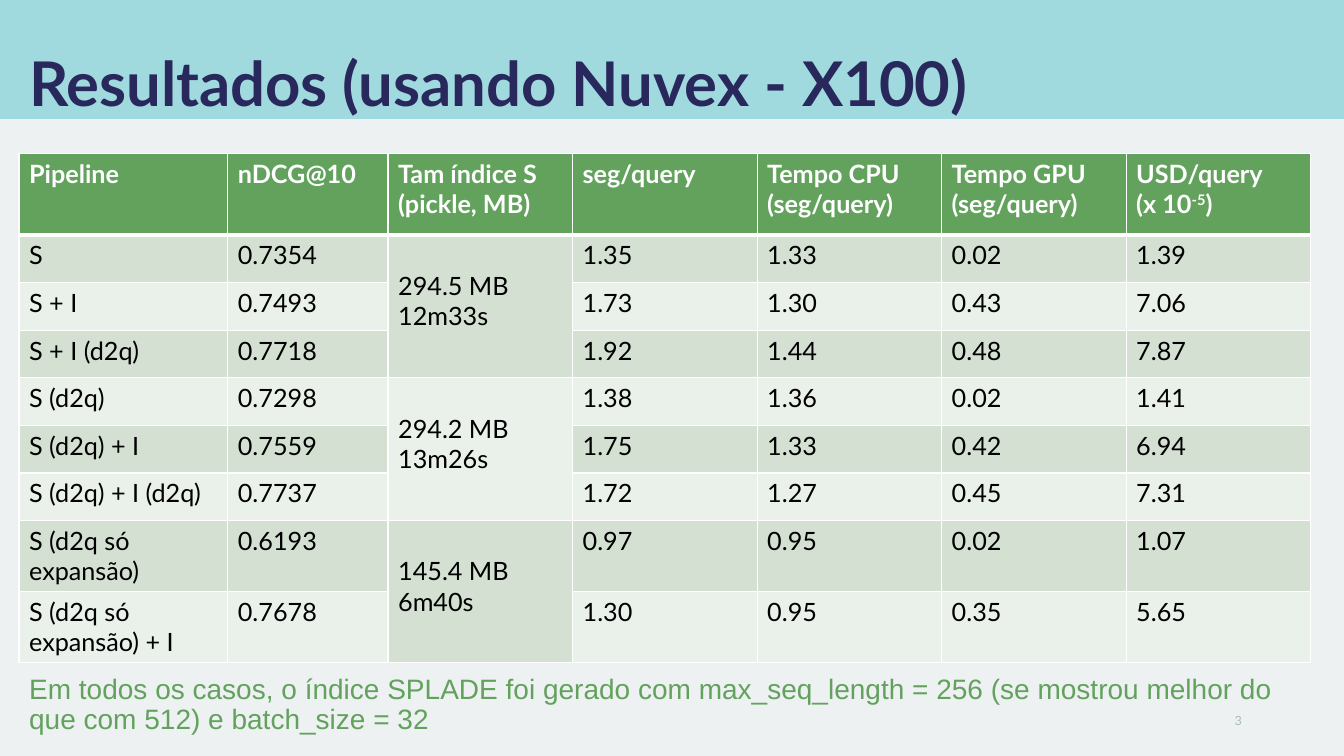
"""Build the slide of retrieval results by pipeline."""
from dataclasses import dataclass
from lxml import etree
from pptx import Presentation, util as u
from pptx.dml.color import RGBColor
from pptx.enum import shapes, text
from pptx.oxml import ns

TITLE = "Resultados (usando Nuvex - X100)"
NOTE = ("Em todos os casos, o índice SPLADE foi gerado com max_seq_length = 256 "
        "(se mostrou melhor do que com 512) e batch_size = 32")
PAGE = "3"
HEAD = ["Pipeline", "nDCG@10", "Tam índice S\n(pickle, MB)", "seg/query",
        "Tempo CPU (seg/query)", "Tempo GPU (seg/query)", "USD/query\n(x 10^-5^)"]
ROWS = [
    ("S", "0.7354", "294.5 MB\n12m33s", "1.35", "1.33", "0.02", "1.39"),
    ("S + I", "0.7493", "", "1.73", "1.30", "0.43", "7.06"),
    ("S + I (d2q)", "0.7718", "", "1.92", "1.44", "0.48", "7.87"),
    ("S (d2q)", "0.7298", "294.2 MB\n13m26s", "1.38", "1.36", "0.02", "1.41"),
    ("S (d2q) + I", "0.7559", "", "1.75", "1.33", "0.42", "6.94"),
    ("S (d2q) + I (d2q)", "0.7737", "", "1.72", "1.27", "0.45", "7.31"),
    ("S (d2q só expansão)", "0.6193", "145.4 MB\n6m40s", "0.97", "0.95", "0.02", "1.07"),
    ("S (d2q só expansão) + I", "0.7678", "", "1.30", "0.95", "0.35", "5.65"),
]
SIZE_COL = 2
SPANS = [(1, 3), (4, 6), (7, 8)]
COLS = [5.26, 4.04] + [4.65] * 5
HIGHS = [2.06] + [1.2] * 6 + [1.79] * 2


@dataclass(frozen=True)
class Theme:
    """Colours, fonts and type sizes."""
    back: str = "EDF1F2"
    band: str = "A0DADE"
    navy: str = "29285D"
    green: str = "62A25D"
    gray: str = "A7BBC0"
    white: str = "FFFFFF"
    black: str = "000000"
    tints: tuple = ("EAF0EA", "D3E0D2")
    main: str = "Lato"
    plain: str = "Arial"
    big: int = 44
    mid: int = 20
    cell: int = 18
    tiny: int = 9


T = Theme()
LEFT = 0.48
TITLE_FONT = dict(name=T.main, size=u.Pt(T.big), bold=True, color=T.navy)
NOTE_FONT = dict(name=T.plain, size=u.Pt(T.mid), color=T.green)
PAGE_FONT = dict(name=T.main, size=u.Pt(T.tiny), color=T.gray)
HEAD_FONT = dict(name=T.main, size=u.Pt(T.cell), bold=True, color=T.white)
CELL_FONT = dict(HEAD_FONT, bold=False, color=T.black)


def paint(fill, color):
    """Fill with one solid colour."""
    fill.solid()
    fill.fore_color.rgb = RGBColor.from_string(color)


def put(obj, **vals):
    """Set attributes from format values."""
    for key, val in vals.items():
        setattr(obj, key, val)


def place(shape, *box):
    """Move and size a shape in centimetres."""
    put(shape, **dict(zip(("left", "top", "width", "height"), map(u.Cm, box))))


def write(frame, words, font, **form):
    """Write lines of text; carets enclose a superscript."""
    for num, line in enumerate(words.split("\n")):
        para = frame.paragraphs[0] if num == 0 else frame.add_paragraph()
        put(para, **form)
        for part, piece in enumerate(line.split("^")):
            run = para.add_run()
            run.text = piece
            put(run.font, **{k: v for k, v in font.items() if k != "color"})
            run.font.color.rgb = RGBColor.from_string(font["color"])
            if part % 2:
                run._r.get_or_add_rPr().set("baseline", "30000")


def edge(cell, base):
    """Draw white cell borders with a chosen bottom width."""
    props = cell._tc.get_or_add_tcPr()
    for num, side in enumerate("LRTB"):
        line = etree.Element(ns.qn("a:ln" + side), w=str(u.Pt(base if side == "B" else 1)))
        solid = etree.SubElement(line, ns.qn("a:solidFill"))
        etree.SubElement(solid, ns.qn("a:srgbClr"), val=T.white)
        props.insert(num, line)


def fill_table(table):
    """Size, merge, colour and write the results table."""
    for col, wide in zip(table.columns, COLS):
        col.width = u.Cm(wide)
    for row, high in zip(table.rows, HIGHS):
        row.height = u.Cm(high)
    for r, row in enumerate([HEAD] + ROWS):
        for c, words in enumerate(row):
            cell = table.cell(r, c)
            paint(cell.fill, T.tints[r % 2] if r else T.green)
            edge(cell, 1 if r else 3)
            if words:
                write(cell.text_frame, words, CELL_FONT if r else HEAD_FONT)
    for first, last in SPANS:
        cell = table.cell(first, SIZE_COL)
        cell.merge(table.cell(last, SIZE_COL))
        cell.margin_top = u.Cm(0.89)


deck = Presentation()
put(deck, slide_width=u.Cm(33.87), slide_height=u.Cm(19.05))
slide = deck.slides.add_slide(deck.slide_layouts[1])
paint(slide.background.fill, T.back)
title, note = slide.placeholders

band = slide.shapes.add_shape(shapes.MSO_SHAPE.RECTANGLE, 0, 0, deck.slide_width, u.Cm(3))
band.shadow.inherit = False
paint(band.fill, T.band)
band.line.fill.background()
slide.shapes._spTree.insert(2, band._element)

place(title, LEFT, 1.12, 31.47, 2.03)
put(title.text_frame, vertical_anchor=text.MSO_ANCHOR.BOTTOM, word_wrap=True,
    auto_size=text.MSO_AUTO_SIZE.NONE)
write(title.text_frame, TITLE, TITLE_FONT, alignment=text.PP_ALIGN.LEFT, line_spacing=0.9)

place(note, LEFT, 16.89, 32.49, 1.78)
put(note.text_frame, vertical_anchor=text.MSO_ANCHOR.TOP, word_wrap=True,
    auto_size=text.MSO_AUTO_SIZE.NONE)
write(note.text_frame, NOTE, NOTE_FONT, line_spacing=0.9, space_before=u.Pt(10))
props = note.text_frame.paragraphs[0]._p.get_or_add_pPr()
for key in ("marL", "indent"):
    props.set(key, "0")
etree.SubElement(props, ns.qn("a:buNone"))

page = slide.shapes.add_textbox(*map(u.Cm, (23.93, 17.65, 7.62, 1.02)))
put(page.text_frame, word_wrap=True, vertical_anchor=text.MSO_ANCHOR.MIDDLE)
write(page.text_frame, PAGE, PAGE_FONT, alignment=text.PP_ALIGN.RIGHT)

grid = slide.shapes.add_table(len(HIGHS), len(COLS), u.Cm(LEFT), u.Cm(3.86),
                              u.Cm(sum(COLS)), u.Cm(sum(HIGHS)))
fill_table(grid.table)
deck.save("out.pptx")
